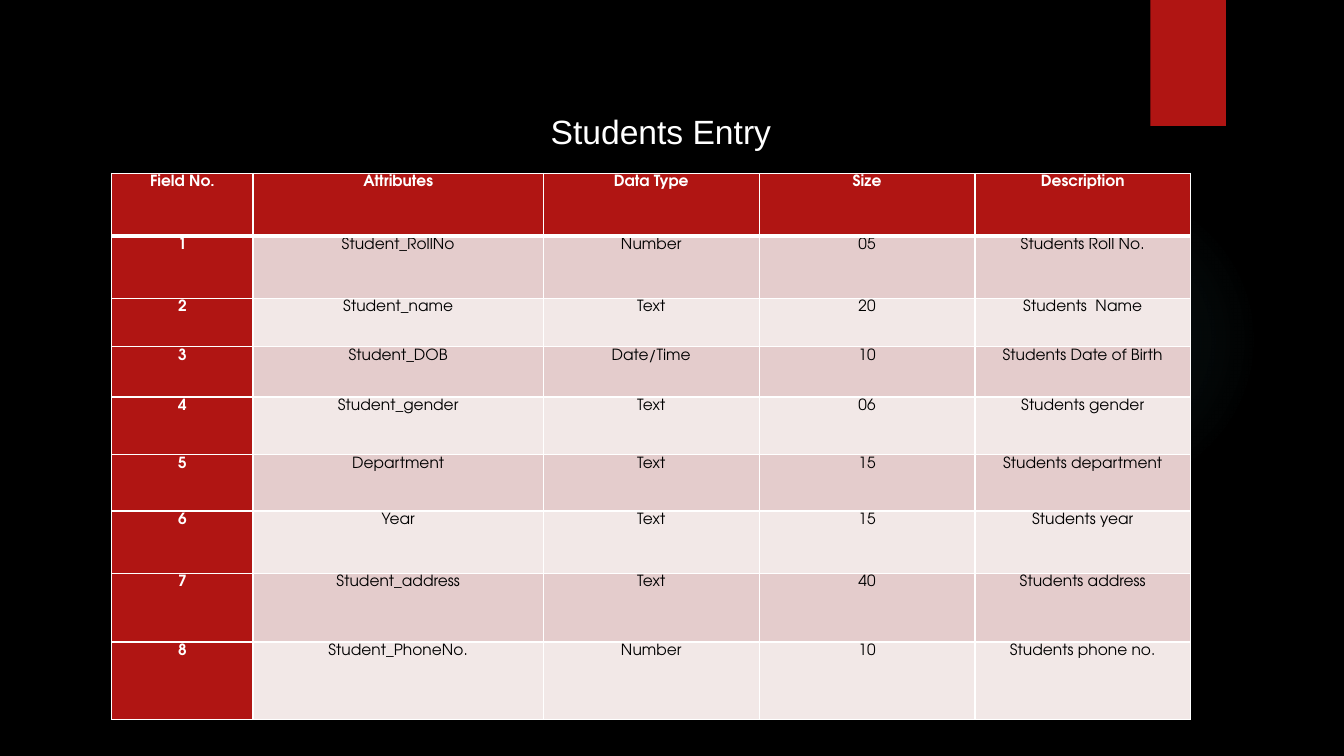
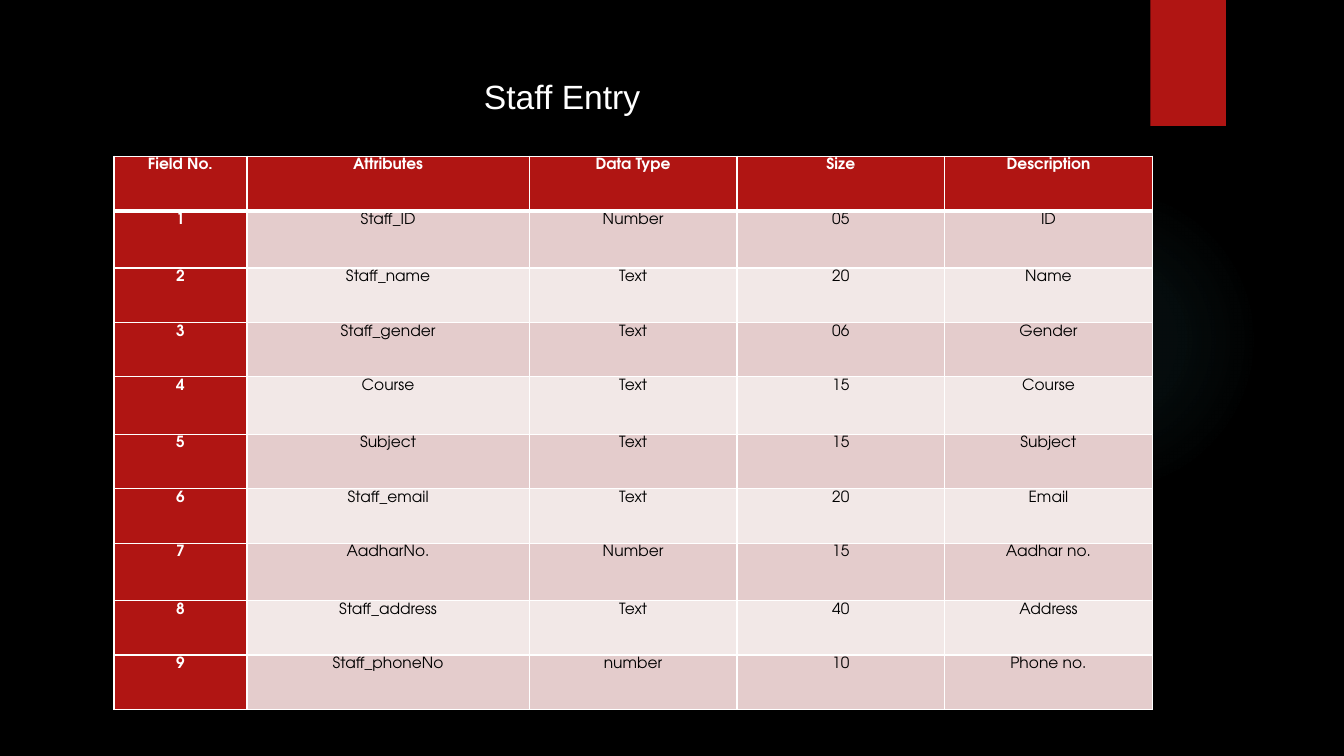
from dataclasses import dataclass

import pptx
import pptx.dml.color
import pptx.enum.shapes
import pptx.enum.text
import pptx.oxml
import pptx.oxml.ns
import pptx.util
from pptx.util import Inches

RED, WHITE, BLACK = "B01513", "FFFFFF", "000000"
DARK_BAND, LIGHT_BAND = "E4CCCC", "F2E8E7"
GLOW = "50B9C1"
TITLE_FONT, TABLE_FONT = "Arial", "TeX Gyre Adventor"
HEADERS = ("Field No.", "Attributes", "Data Type", "Size", "Description")
CENTER, LEFT = pptx.enum.text.PP_ALIGN.CENTER, pptx.enum.text.PP_ALIGN.LEFT


@dataclass
class Box:
    left: float
    top: float
    width: float
    height: float

    def inches(self) -> tuple:
        return tuple(Inches(v) for v in (self.left, self.top, self.width, self.height))


@dataclass
class Entry:
    title: str
    title_box: Box
    title_align: int
    table_box: Box
    col_widths: tuple
    row_heights: tuple
    margin: float
    fields: tuple  # attribute, data type, size, description


ENTRIES = (
    Entry(
        "Students Entry", Box(3.79, 1.05, 5.53, 0.5), CENTER,
        Box(1.11, 1.72, 10.69, 5.41),
        (1.4, 2.88, 2.14, 2.14, 2.14),
        (0.62, 0.62, 0.48, 0.5, 0.57, 0.56, 0.62, 0.68, 0.77),
        0.06,
        (
            ("Student_RollNo", "Number", "05", "Students Roll No."),
            ("Student_name", "Text", "20", "Students  Name"),
            ("Student_DOB", "Date/Time", "10", "Students Date of Birth"),
            ("Student_gender", "Text", "06", "Students gender"),
            ("Department", "Text", "15", "Students department"),
            ("Year", "Text", "15", "Students year"),
            ("Student_address", "Text", "40", "Students address"),
            ("Student_PhoneNo.", "Number", "10", "Students phone no."),
        ),
    ),
    Entry(
        "Staff Entry", Box(4.7, 0.7, 3.65, 0.5), LEFT,
        Box(1.13, 1.55, 10.29, 5.5),
        (1.32, 2.8, 2.06, 2.06, 2.06),
        (0.54, 0.57, 0.54, 0.54, 0.57, 0.54, 0.54, 0.57, 0.54, 0.54),
        0.07,
        (
            ("Staff_ID", "Number", "05", "ID"),
            ("Staff_name", "Text", "20", "Name"),
            ("Staff_gender", "Text", "06", "Gender"),
            ("Course", "Text", "15", "Course"),
            ("Subject", "Text", "15", "Subject"),
            ("Staff_email", "Text", "20", "Email"),
            ("AadharNo.", "Number", "15", "Aadhar no."),
            ("Staff_address", "Text", "40", "Address"),
            ("Staff_phoneNo", "number", "10", "Phone no."),
        ),
    ),
)


def rgb(color: str) -> pptx.dml.color.RGBColor:
    return pptx.dml.color.RGBColor.from_string(color)


def set_fill(fill, color: str) -> None:
    fill.solid()
    fill.fore_color.rgb = rgb(color)


def set_font(p, name: str, size: int, color: str, bold: bool = False) -> None:
    p.font.name = name
    p.font.size = pptx.util.Pt(size)
    p.font.bold = bold
    p.font.color.rgb = rgb(color)


def add_plain_shape(slide, kind, box: Box):
    sp = slide.shapes.add_shape(kind, *box.inches())
    sp.shadow.inherit = False
    sp.line.fill.background()
    return sp


def add_decoration(slide) -> None:
    """Faint round glow and the red tab at the top edge."""
    shapes = pptx.enum.shapes.MSO_SHAPE
    glow = add_plain_shape(slide, shapes.OVAL, Box(9.41, 1.83, 3.08, 3.08))
    glow.fill.background()
    stops = "".join(
        f'<a:gs pos="{pos * 1000}"><a:srgbClr val="{GLOW}">'
        f'<a:alpha val="{alpha * 1000}"/></a:srgbClr></a:gs>'
        for pos, alpha in ((0, 7), (36, 6), (69, 0))
    )
    gradient = pptx.oxml.parse_xml(
        f'<a:gradFill {pptx.oxml.ns.nsdecls("a")}><a:gsLst>{stops}</a:gsLst>'
        '<a:path path="circle">'
        '<a:fillToRect l="50000" t="50000" r="50000" b="50000"/></a:path></a:gradFill>'
    )
    sp_pr = glow.element.spPr
    sp_pr.replace(sp_pr.find(pptx.oxml.ns.qn("a:noFill")), gradient)

    tab = add_plain_shape(slide, shapes.RECTANGLE, Box(11.41, 0, 0.75, 1.25))
    set_fill(tab.fill, RED)


def set_borders(cell, top: int, bottom: int) -> None:
    """White borders; widths in points, 1 pt at the sides."""
    tc_pr = cell._tc.get_or_add_tcPr()
    for i, (side, width) in enumerate((("L", 1), ("R", 1), ("T", top), ("B", bottom))):
        line = pptx.oxml.parse_xml(
            f'<a:ln{side} {pptx.oxml.ns.nsdecls("a")} w="{pptx.util.Pt(width)}">'
            f'<a:solidFill><a:srgbClr val="{WHITE}"/></a:solidFill></a:ln{side}>'
        )
        tc_pr.insert(i, line)


def style_cell(cell, text: str, row: int, col: int, margin: float) -> None:
    emphasized = row == 0 or col == 0
    band = DARK_BAND if row % 2 else LIGHT_BAND
    set_fill(cell.fill, RED if emphasized else band)
    set_borders(cell, top=3 if row == 1 else 1, bottom=3 if row == 0 else 1)
    cell.margin_left = cell.margin_right = Inches(margin)
    cell.margin_top = cell.margin_bottom = 0
    cell.text = text
    p = cell.text_frame.paragraphs[0]
    p.alignment = CENTER
    p.line_spacing = 1.15
    set_font(p, TABLE_FONT, 11, WHITE if emphasized else BLACK, emphasized)


def add_field_table(slide, entry: Entry) -> None:
    rows = [HEADERS] + [(str(n), *field) for n, field in enumerate(entry.fields, 1)]
    table = slide.shapes.add_table(
        len(rows), len(HEADERS), *entry.table_box.inches()
    ).table
    for column, width in zip(table.columns, entry.col_widths):
        column.width = Inches(width)
    for row, height in zip(table.rows, entry.row_heights):
        row.height = Inches(height)
    for r, texts in enumerate(rows):
        for c, text in enumerate(texts):
            style_cell(table.cell(r, c), text, r, c, entry.margin)


def set_title(slide, entry: Entry) -> None:
    title = slide.shapes.title
    title.left, title.top, title.width, title.height = entry.title_box.inches()
    tf = title.text_frame
    tf.text = entry.title
    tf.word_wrap = True
    tf.auto_size = pptx.enum.text.MSO_AUTO_SIZE.SHAPE_TO_FIT_TEXT
    tf.vertical_anchor = pptx.enum.text.MSO_ANCHOR.TOP
    p = tf.paragraphs[0]
    p.alignment = entry.title_align
    set_font(p, TITLE_FONT, 24, WHITE)


def main() -> None:
    prs = pptx.Presentation()
    prs.slide_width, prs.slide_height = Inches(13.33), Inches(7.5)
    set_fill(prs.slide_master.background.fill, BLACK)
    title_only = prs.slide_layouts[5]
    for entry in ENTRIES:
        slide = prs.slides.add_slide(title_only)
        add_decoration(slide)
        add_field_table(slide, entry)
        set_title(slide, entry)
    prs.save("out.pptx")


if __name__ == "__main__":
    main()
